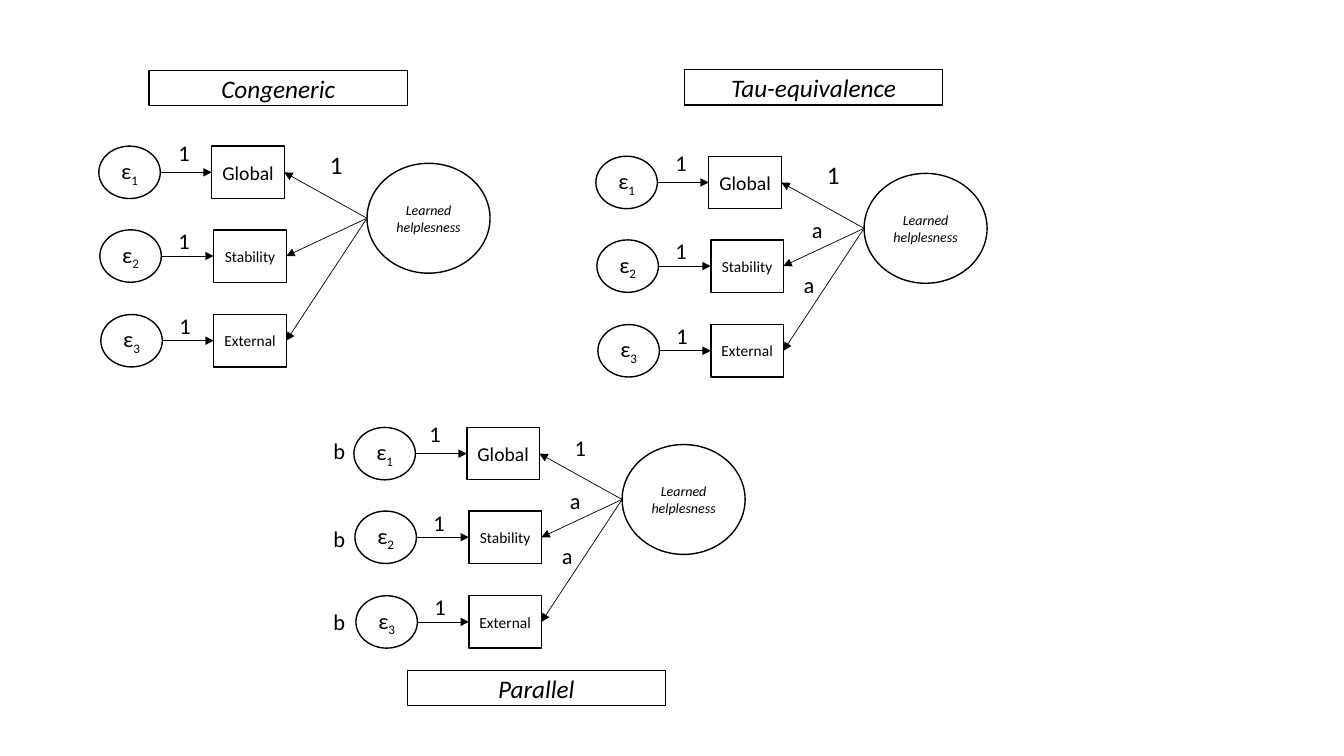
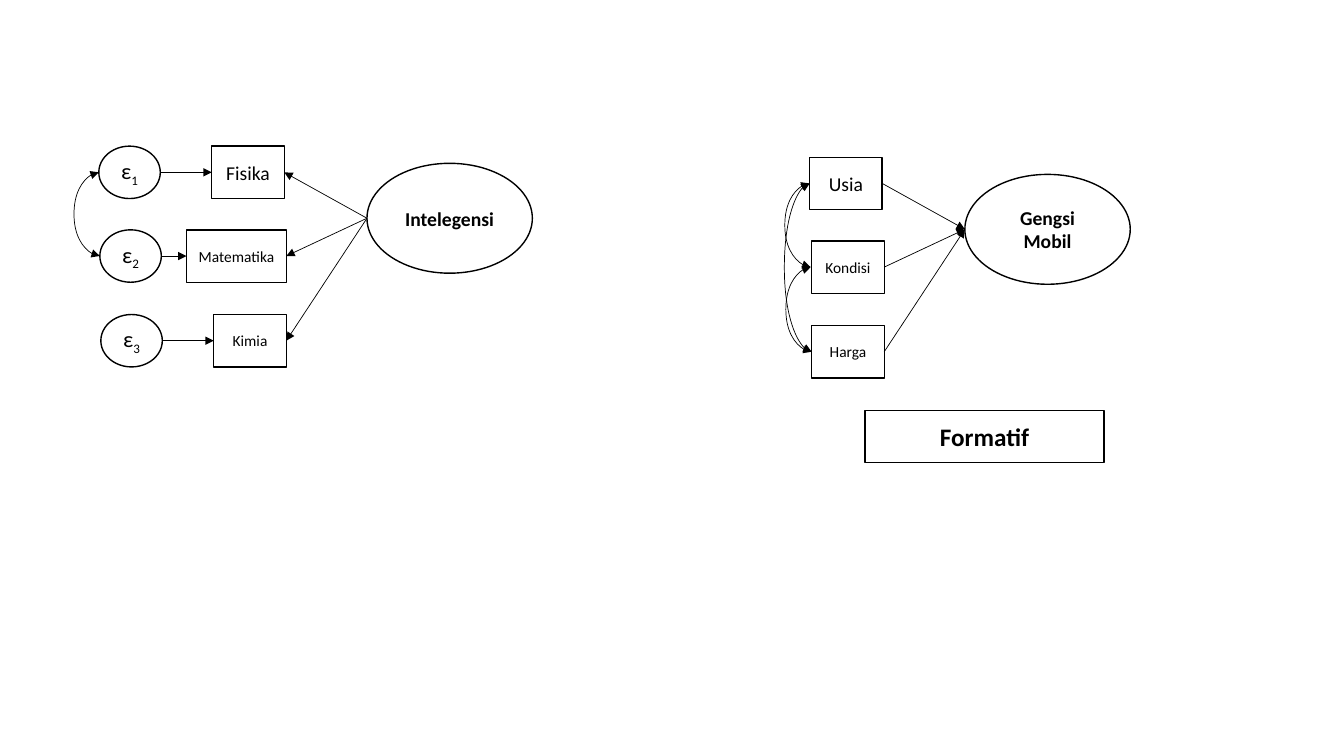
from lxml.etree import SubElement
from pptx import Presentation
from pptx.dml.color import RGBColor
from pptx.enum.shapes import MSO_CONNECTOR, MSO_SHAPE
from pptx.enum.text import MSO_ANCHOR, PP_ALIGN
from pptx.oxml.ns import qn
from pptx.util import Inches, Pt

BLACK = RGBColor(0, 0, 0)
FONT = "Calibri"
ROW_OFFSETS = (0, 0.83, 1.67)
ROW_HEIGHT = 0.52
ERROR_WIDTH = 0.61
BOX_WIDTH = 0.72
LABEL_WIDTH = 0.51
LATENT_LEFT = 2.66
LATENT_HEIGHT = 1.09
BULGE = 0.25

ERROR_LABELS = [("1", 0.59, -0.2, 16), ("1", 0.59, 0.68, 16), ("1", 0.6, 1.52, 16)]
MAIN_LOADING = [("1", 2.1, -0.08, 18)]
EQUAL_LOADINGS = [("a", 1.94, 0.47, 16), ("a", 1.86, 1.01, 16)]
PARALLEL_LABELS = [
    ("1", 0.55, -0.2, 16), *ERROR_LABELS[1:], ("1", 1.99, -0.06, 16), *EQUAL_LOADINGS,
    ("b", -0.4, -0.03, 16), ("b", -0.4, 0.84, 16), ("b", -0.4, 1.67, 16),
]

HELPLESSNESS = dict(
    latent="Learned helplesness", latent_width=1.22, latent_size=10, emphasis="italic",
    names=("Global", "Stability", "External"), widths=(BOX_WIDTH,) * 3,
    formative=False, curves=[],
)
CONGENERIC = dict(
    HELPLESSNESS, origin=(0.98, 1.45), title=("Congeneric", 1.48, 0.7, 2.56, 0.35),
    labels=ERROR_LABELS + MAIN_LOADING,
)
TAU_EQUIVALENCE = dict(
    HELPLESSNESS, origin=(5.91, 1.55), title=("Tau-equivalence", 6.79, 0.69, 2.56, 0.35),
    labels=ERROR_LABELS + MAIN_LOADING + EQUAL_LOADINGS,
)
PARALLEL = dict(
    HELPLESSNESS, origin=(3.51, 4.24), title=("Parallel", 4.04, 6.65, 2.56, 0.35),
    labels=PARALLEL_LABELS,
)
FORMATIVE = dict(
    origin=(6.91, 1.56), title=("Formatif", 8.58, 4.07, 2.37, 0.52), labels=[],
    latent="Gengsi Mobil", latent_width=1.64, latent_size=14, emphasis="bold",
    names=("Usia", "Kondisi", "Harga"), widths=(BOX_WIDTH,) * 3,
    formative=True, curves=[(0, 1), (0, 2), (1, 2)],
)
INTELLIGENCE = dict(
    origin=(0.98, 1.45), title=None, labels=[],
    latent="Intelegensi", latent_width=1.64, latent_size=14, emphasis="bold",
    names=("Fisika", "Matematika", "Kimia"), widths=(BOX_WIDTH, 0.99, BOX_WIDTH),
    formative=False, curves=[(0, 1)],
)


def add_node(slide, kind, box, text, size, emphasis=None, subscript=None, outlined=True):
    shape = slide.shapes.add_shape(kind, *[Inches(length) for length in box])
    shape.shadow.inherit = False
    shape.fill.background()
    if outlined:
        shape.line.color.rgb = BLACK
        shape.line.width = Pt(1)
    else:
        shape.line.fill.background()
    frame = shape.text_frame
    frame.word_wrap = kind == MSO_SHAPE.OVAL
    frame.vertical_anchor = MSO_ANCHOR.MIDDLE
    paragraph = frame.paragraphs[0]
    paragraph.alignment = PP_ALIGN.CENTER
    paragraph.font.name = FONT
    paragraph.font.size = Pt(size)
    paragraph.font.color.rgb = BLACK
    paragraph.font.bold = emphasis == "bold"
    paragraph.font.italic = emphasis == "italic"
    paragraph.add_run().text = text
    if subscript:
        run = paragraph.add_run()
        run.text = subscript
        run._r.get_or_add_rPr().set("baseline", "-25000")


def add_arrow(slide, start, end, curved=False):
    kind = MSO_CONNECTOR.CURVE if curved else MSO_CONNECTOR.STRAIGHT
    connector = slide.shapes.add_connector(
        kind, *[Inches(length) for length in (*start, *end)])
    connector.line.color.rgb = BLACK
    connector.line.width = Pt(0.5)
    properties = connector._element.spPr
    line = properties.find(qn("a:ln"))
    if curved:
        SubElement(line, qn("a:headEnd"), type="triangle")
        bend = round(-BULGE / (end[0] - start[0]) * 100000)
        adjustments = properties.find(qn("a:prstGeom")).find(qn("a:avLst"))
        SubElement(adjustments, qn("a:gd"), name="adj1", fmla=f"val {bend}")
    SubElement(line, qn("a:tailEnd"), type="triangle")
    SubElement(properties, qn("a:effectLst"))


presentation = Presentation()
presentation.slide_width = Inches(13.33)
presentation.slide_height = Inches(7.5)

for models in ((CONGENERIC, TAU_EQUIVALENCE, PARALLEL), (FORMATIVE, INTELLIGENCE)):
    slide = presentation.slides.add_slide(presentation.slide_layouts[6])
    for model in models:
        left, top = model["origin"]
        latent_left = left + LATENT_LEFT
        latent_top = top + 0.17
        latent_edge = (latent_left, latent_top + LATENT_HEIGHT / 2)
        add_node(slide, MSO_SHAPE.OVAL,
                 (latent_left, latent_top, model["latent_width"], LATENT_HEIGHT),
                 model["latent"], model["latent_size"], model["emphasis"])

        curve_ends = []
        for row, offset in enumerate(ROW_OFFSETS):
            row_top = top + offset
            middle = row_top + ROW_HEIGHT / 2
            box_right = left + (1.84 if row == 0 else 1.86)
            box_left = box_right - model["widths"][row]
            add_node(slide, MSO_SHAPE.RECTANGLE,
                     (box_left, row_top, model["widths"][row], ROW_HEIGHT),
                     model["names"][row], 14 if row == 0 else 11)
            if model["formative"]:
                add_arrow(slide, (box_right, middle), latent_edge)
                curve_ends.append((left + 1.12 + 0.01 * row, middle))
            else:
                error_left = left + 0.01 * row
                add_arrow(slide, latent_edge, (box_right, middle))
                add_node(slide, MSO_SHAPE.OVAL,
                         (error_left, row_top, ERROR_WIDTH, ROW_HEIGHT),
                         "ε", 16, subscript=str(row + 1))
                add_arrow(slide, (error_left + ERROR_WIDTH, middle), (box_left, middle))
                curve_ends.append((error_left, middle))

        for first, last in model["curves"]:
            add_arrow(slide, curve_ends[first], curve_ends[last], curved=True)
        for text, label_left, label_top, size in model["labels"]:
            add_node(slide, MSO_SHAPE.OVAL,
                     (left + label_left, top + label_top, LABEL_WIDTH, ROW_HEIGHT),
                     text, size, outlined=False)
        if model["title"]:
            title, *title_box = model["title"]
            add_node(slide, MSO_SHAPE.RECTANGLE, title_box, title, 18, model["emphasis"])

presentation.save("out.pptx")
